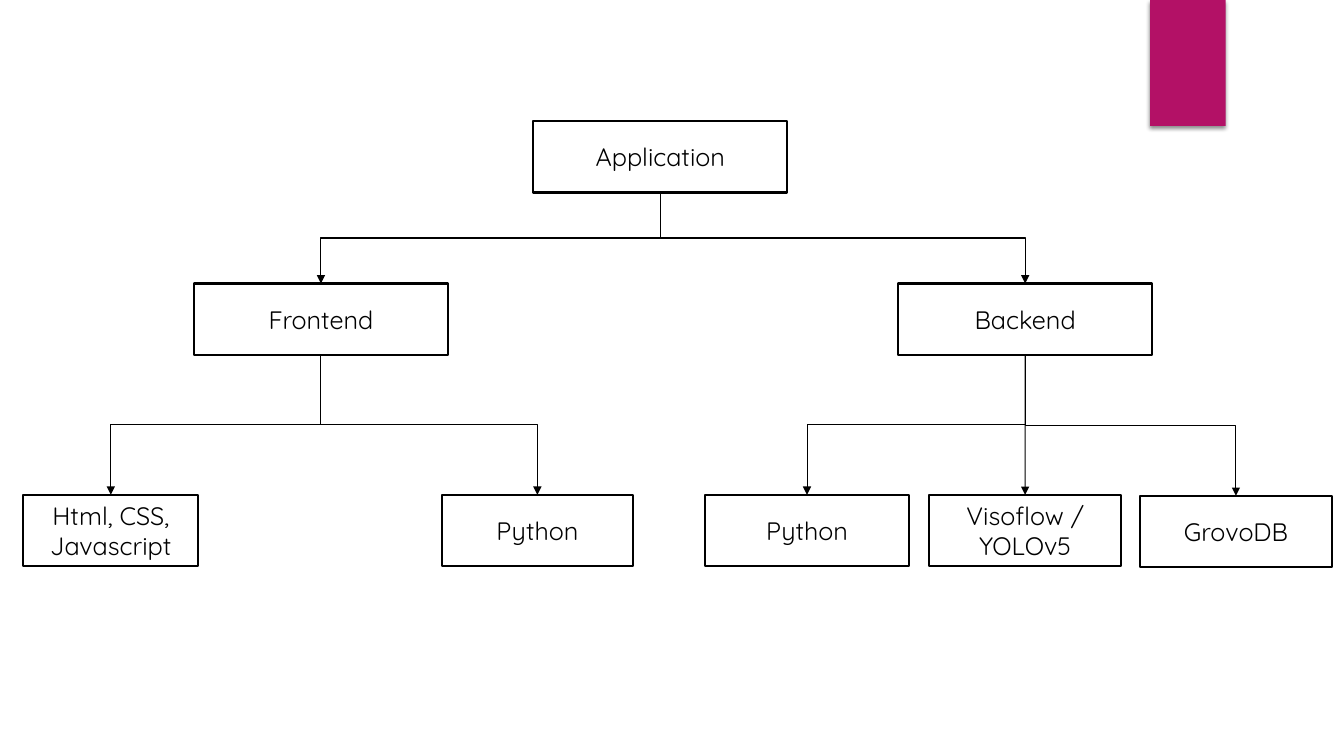
from lxml import etree
from pptx import Presentation
from pptx.dml.color import RGBColor
from pptx.enum.shapes import MSO_CONNECTOR, MSO_SHAPE
from pptx.enum.text import MSO_ANCHOR, PP_ALIGN
from pptx.oxml.ns import qn
from pptx.util import Pt

RECTANGLE = MSO_SHAPE.RECTANGLE
STRAIGHT, ELBOW = MSO_CONNECTOR.STRAIGHT, MSO_CONNECTOR.ELBOW
MIDDLE, CENTER = MSO_ANCHOR.MIDDLE, PP_ALIGN.CENTER

COLORS = {"ink": "000000", "paper": "FFFFFF", "accent": "B31166"}
FONT = "Quicksand"
BOX_HEIGHT = 51.1
TOP_SITE, BOTTOM_SITE = 0, 2

# Name: (label, left, top, width), in points
BOXES = {
    "application": ("Application", 380.9, 86.4, 181.5),
    "frontend": ("Frontend", 138.5, 202.5, 181.5),
    "backend": ("Backend", 641.5, 202.5, 181.5),
    "web": ("Html, CSS, Javascript", 16.5, 353.5, 125.3),
    "frontend_python": ("Python", 315.4, 353.5, 137),
    "backend_python": ("Python", 503.7, 353.5, 145.5),
    "vision": ("Visoflow / YOLOv5", 663.8, 353.5, 137),
    "database": ("GrovoDB", 814.3, 354.2, 137),
}
CHILDREN = {
    "application": ["frontend", "backend"],
    "frontend": ["web", "frontend_python"],
    "backend": ["backend_python", "vision", "database"],
}


def color(name):
    return RGBColor.from_string(COLORS[name])


def add_rectangle(page, left, top, width, height, fill):
    box = page.shapes.add_shape(RECTANGLE, Pt(left), Pt(top), Pt(width), Pt(height))
    box.shadow.inherit = False
    box.fill.solid()
    box.fill.fore_color.rgb = color(fill)
    return box


def add_tab(page):
    """Add the accent tab with its soft shadow."""
    tab = add_rectangle(page, 821.5, 0, 54, 90, "accent")
    tab.line.fill.background()
    effects = tab._element.spPr.find(qn("a:effectLst"))
    shadow = etree.SubElement(effects, qn("a:outerShdw"), blurRad=str(Pt(3)),
                              dist=str(Pt(2)), dir="5400000", rotWithShape="0")
    tint = etree.SubElement(shadow, qn("a:srgbClr"), val=COLORS["ink"])
    etree.SubElement(tint, qn("a:alpha"), val="45000")


def add_box(page, label, left, top, width):
    box = add_rectangle(page, left, top, width, BOX_HEIGHT, "paper")
    box.line.color.rgb = color("ink")
    box.line.width = Pt(1.5)
    frame = box.text_frame
    frame.word_wrap = True
    frame.vertical_anchor = MIDDLE
    para = frame.paragraphs[0]
    para.text = label
    para.alignment = CENTER
    para.font.name = FONT
    para.font.size = Pt(18)
    para.font.color.rgb = color("ink")
    return box


def turn_elbow(arrow, across, down):
    """Rotate an elbow so that it leaves downwards and bends halfway."""
    middle_x = (arrow.begin_x + arrow.end_x) // 2
    middle_y = (arrow.begin_y + arrow.end_y) // 2
    frame = arrow._element.spPr.find(qn("a:xfrm"))
    frame.attrib.clear()
    if across > 0:
        frame.set("rot", "16200000")
        frame.set("flipH", "1")
    else:
        frame.set("rot", "5400000")
    arrow.width, arrow.height = down, abs(across)
    arrow.left = middle_x - down // 2
    arrow.top = middle_y - abs(across) // 2


def add_arrow(page, parent, child):
    across = child.left + child.width // 2 - parent.left - parent.width // 2
    down = child.top - parent.top - parent.height
    is_straight = abs(across) < Pt(1)
    arrow = page.shapes.add_connector(STRAIGHT if is_straight else ELBOW, 0, 0, 0, 0)
    arrow.begin_connect(parent, BOTTOM_SITE)
    arrow.end_connect(child, TOP_SITE)
    if not is_straight:
        turn_elbow(arrow, across, down)
    arrow.line.color.rgb = color("ink")
    arrow.line.width = Pt(0.75)
    etree.SubElement(arrow.line._get_or_add_ln(), qn("a:tailEnd"), type="triangle")
    etree.SubElement(arrow._element.spPr, qn("a:effectLst"))


def main():
    deck = Presentation()
    deck.slide_width, deck.slide_height = Pt(960), Pt(540)
    page = deck.slides.add_slide(deck.slide_layouts[6])

    # Decoration
    add_tab(page)

    # Component tree
    boxes = {name: add_box(page, *values) for name, values in BOXES.items()}
    for parent, children in CHILDREN.items():
        for child in children:
            add_arrow(page, boxes[parent], boxes[child])

    deck.save("out.pptx")


if __name__ == "__main__":
    main()
